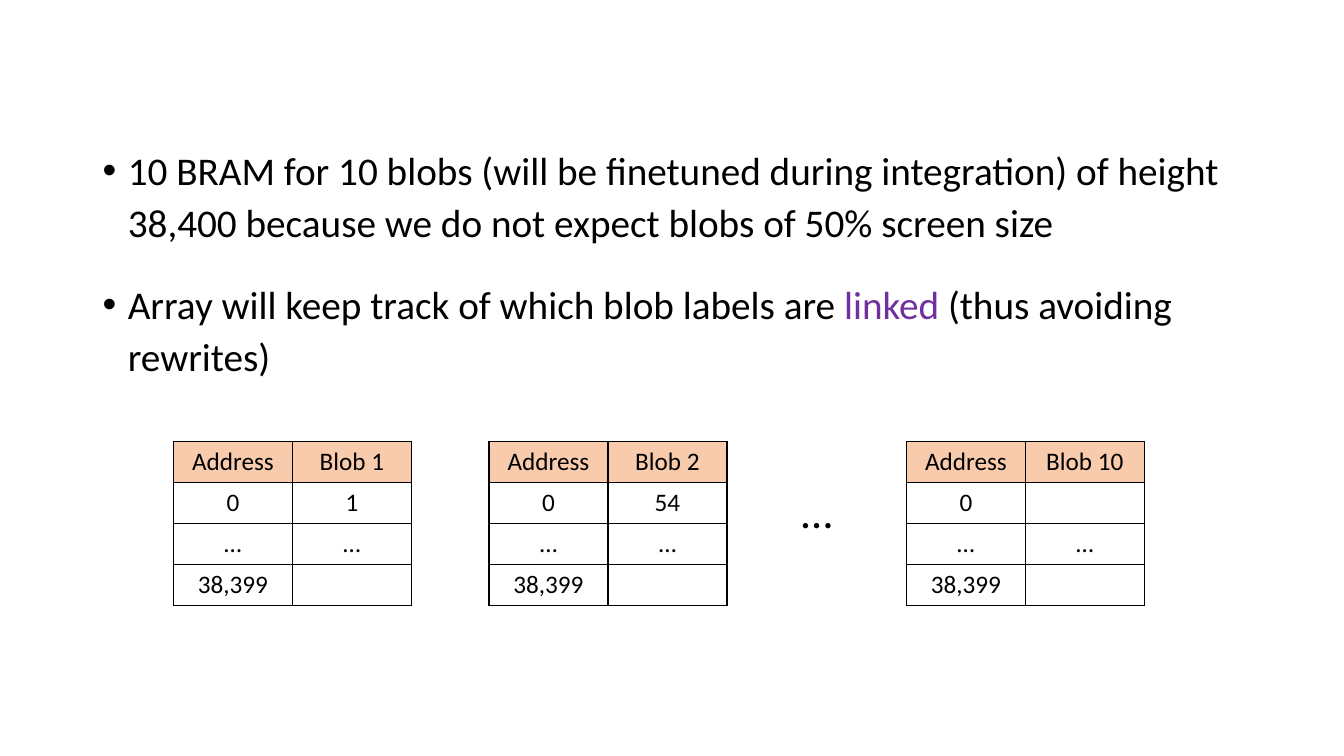
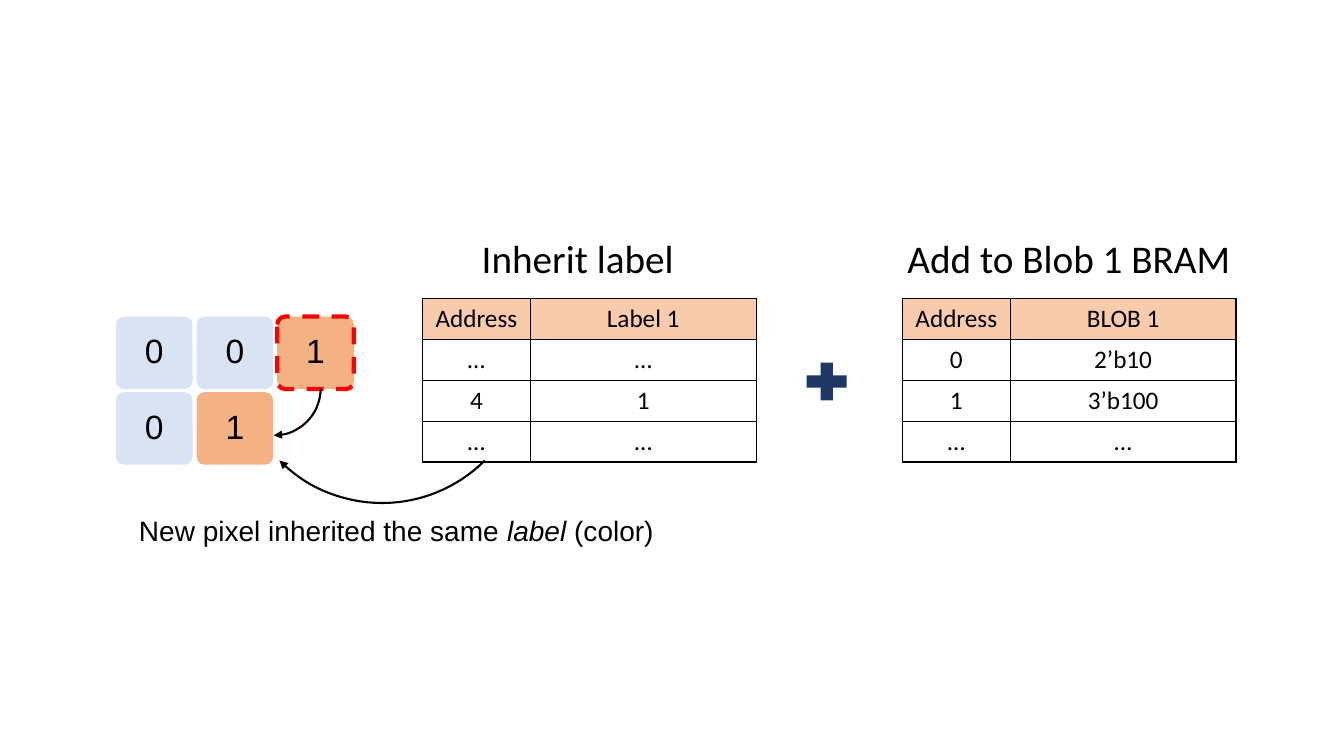
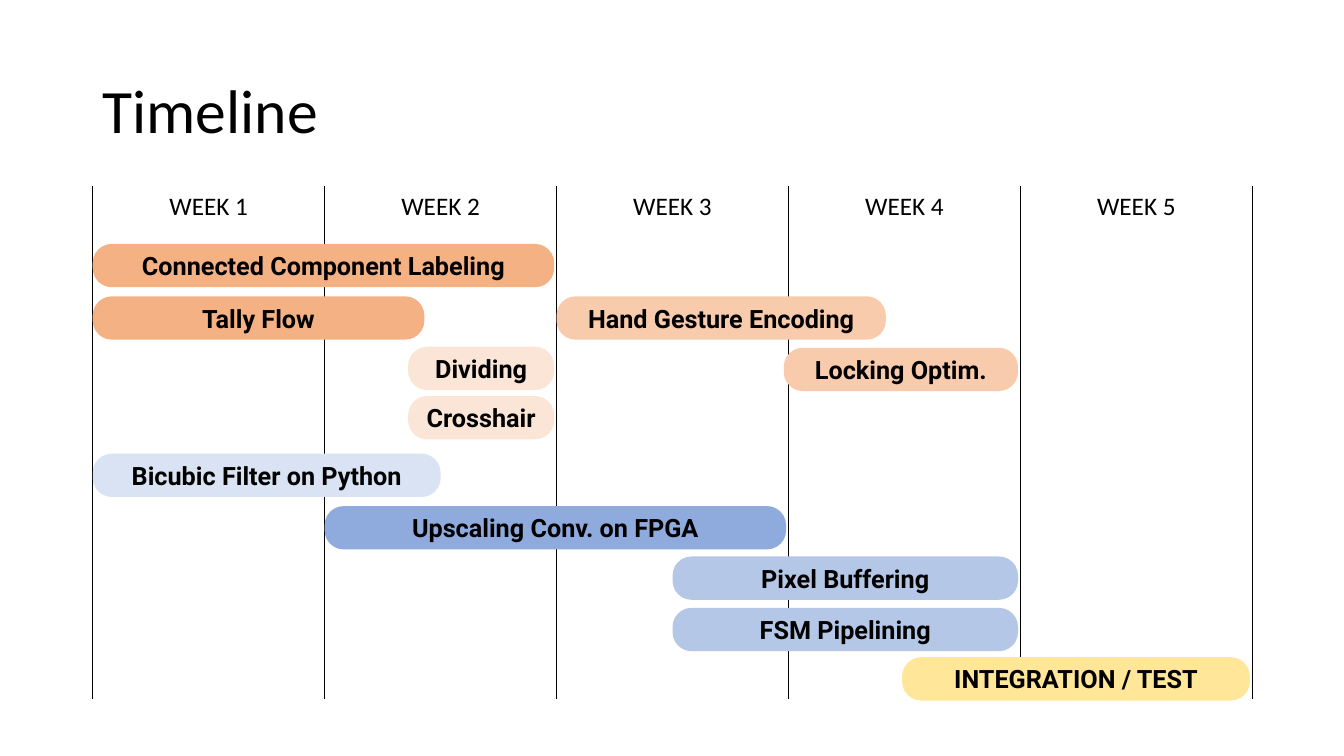
"""Build three slides on blob storage, label inheritance and the project timeline."""
from typing import Any, NamedTuple, Optional

from lxml.etree import SubElement
from pptx import Presentation
from pptx.dml.color import RGBColor
from pptx.enum.dml import MSO_LINE
from pptx.enum.shapes import MSO_SHAPE
from pptx.enum.text import MSO_ANCHOR, PP_ALIGN
from pptx.oxml.ns import qn
from pptx.util import Inches, Pt

SLIDE_SIZE = (13.33, 7.5)
CELL = 0.1
BLACK = RGBColor(0x00, 0x00, 0x00)
RED = RGBColor(0xFF, 0x00, 0x00)
PURPLE = RGBColor(0x70, 0x30, 0xA0)
NAVY = RGBColor(0x1F, 0x37, 0x64)
ORANGE = RGBColor(0xF4, 0xB1, 0x83)
PEACH = RGBColor(0xF8, 0xCB, 0xAD)
CREAM = RGBColor(0xFB, 0xE5, 0xD6)
BLUE = RGBColor(0x8F, 0xAA, 0xDC)
LIGHT_BLUE = RGBColor(0xB4, 0xC7, 0xE7)
PALE_BLUE = RGBColor(0xDA, 0xE3, 0xF3)
YELLOW = RGBColor(0xFF, 0xE6, 0x99)

TITLE_FONT = {"name": "Calibri", "size": Pt(44)}
BODY_FONT = {"name": "Calibri", "size": Pt(28)}
ELLIPSIS_FONT = {"name": "Calibri", "size": Pt(32)}
TABLE_FONT = {"name": "Calibri", "size": Pt(18)}
PIXEL_FONT = {"name": "Arial", "size": Pt(24)}
CAPTION_FONT = {"name": "Arial", "size": Pt(20)}
TASK_FONT = {"name": "Roboto", "size": Pt(18), "bold": True}

SPACED = {"line_spacing": 0.9, "space_before": Pt(10)}
CENTERED = {"alignment": PP_ALIGN.CENTER}
SPACED_CENTERED = {**SPACED, **CENTERED}
FIRST_BULLET = {"line_spacing": 1.1, "space_before": Pt(10)}
NEXT_BULLET = {"line_spacing": 1.1, "space_before": Pt(21.5)}

TABLE_ROW = 4.06
WEEK_COLUMNS = 23
TASK_PITCH = 5.1
TIMELINE_LEFT, TIMELINE_TOP, FIRST_TASK_TOP = 9.2, 18.5, 24.2


class Area(NamedTuple):
    """Place on the slide, counted in grid cells."""
    column: float
    row: float
    columns: float
    rows: float

    def lengths(self) -> list[Inches]:
        """Return left, top, width and height."""
        return [Inches(cells * CELL) for cells in self]


class Span(NamedTuple):
    """Stretch of text with one look."""
    text: str
    color: RGBColor = BLACK
    italic: bool = False


class Table(NamedTuple):
    """Address table with its column widths in grid cells."""
    column: float
    row: float
    widths: tuple[float, ...]
    content: list[tuple[str, ...]]


class Pixel(NamedTuple):
    """Pixel in the neighbourhood grid."""
    column: int
    row: int
    value: str
    fill: RGBColor
    current: bool = False


class Task(NamedTuple):
    """Timeline bar, with start and length in weeks."""
    label: str
    start: float
    weeks: float
    lane: float
    fill: RGBColor


class Arrow(NamedTuple):
    """Quarter-circle arrow."""
    area: Area
    rotation: int


BLOB_WIDTHS = (11.8, 11.8)
BLOB_TABLES = [
    Table(column, 43.8, BLOB_WIDTHS,
          [("Address", blob), ("0", first), ("…", "…"), ("38,399", "")])
    for column, blob, first in [(17.2, "Blob 1", "1"), (48.5, "Blob 2", "54"), (89.9, "Blob 10", "")]
]
LABEL_WIDTHS = (10.7, 22.4)
LABEL_TABLES = [
    Table(41.9, 29.6, LABEL_WIDTHS,
          [("Address", "Label 1"), ("…", "…"), ("4", "1"), ("…", "…")]),
    Table(89.5, 29.6, LABEL_WIDTHS,
          [("Address", "BLOB 1"), ("0", "2’b10"), ("1", "3’b100"), ("…", "…")]),
]
PIXELS = [
    Pixel(0, 0, "0", PALE_BLUE),
    Pixel(0, 1, "0", PALE_BLUE),
    Pixel(1, 0, "0", PALE_BLUE),
    Pixel(1, 1, "1", ORANGE),
    Pixel(2, 0, "1", ORANGE, current=True),
]
ARROWS = [
    Arrow(Area(23.5, 21.1, 28.8, 28.8), 135),
    Arrow(Area(22.5, 33.9, 9.3, 9.3), 90),
]
TASKS = [
    Task("Connected Component Labeling", 0, 1.99, 0, ORANGE),
    Task("Bicubic Filter on Python", 0, 1.5, 4.08, PALE_BLUE),
    Task("Upscaling Conv. on FPGA", 1, 1.99, 5.1, BLUE),
    Task("Pixel Buffering", 2.5, 1.49, 6.08, LIGHT_BLUE),
    Task("FSM Pipelining", 2.5, 1.49, 7.08, LIGHT_BLUE),
    Task("INTEGRATION / TEST", 3.49, 1.5, 8.04, YELLOW),
    Task("Locking Optim.", 2.98, 1.01, 2.02, PEACH),
    Task("Tally Flow", 0, 1.43, 1.02, ORANGE),
    Task("Dividing", 1.36, 0.63, 2, CREAM),
    Task("Crosshair", 1.36, 0.63, 2.96, CREAM),
    Task("Hand Gesture Encoding", 2, 1.42, 1.02, PEACH),
]


def apply(target: Any, values: dict[str, Any]) -> None:
    """Set each named attribute on the target."""
    for name, value in values.items():
        setattr(target, name, value)


def write(paragraph: Any, spans: list[Span], font: dict[str, Any], layout: dict[str, Any]) -> None:
    """Fill a paragraph with formatted spans."""
    apply(paragraph, layout)
    for span in spans:
        run = paragraph.add_run()
        run.text = span.text
        apply(run.font, {**font, "italic": span.italic})
        run.font.color.rgb = span.color


def add_text(slide: Any, area: Area, spans: list[Span], font: dict[str, Any],
             layout: dict[str, Any], anchor: MSO_ANCHOR = MSO_ANCHOR.TOP) -> Any:
    """Add a wrapping text box and return its frame."""
    frame = slide.shapes.add_textbox(*area.lengths()).text_frame
    apply(frame, {"word_wrap": True, "vertical_anchor": anchor})
    write(frame.paragraphs[0], spans, font, layout)
    return frame


def add_bullet(paragraph: Any) -> None:
    """Give a paragraph a hanging round bullet."""
    properties = paragraph._p.get_or_add_pPr()
    properties.set("marL", str(Inches(0.25)))
    properties.set("indent", str(-Inches(0.25)))
    SubElement(properties, qn("a:buFont"), typeface="Arial")
    SubElement(properties, qn("a:buChar"), char="•")


def add_figure(slide: Any, kind: MSO_SHAPE, area: Area, fill: Optional[RGBColor]) -> Any:
    """Add a flat shape without outline."""
    figure = slide.shapes.add_shape(kind, *area.lengths())
    figure.shadow.inherit = False
    figure.line.fill.background()
    if fill is None:
        figure.fill.background()
    else:
        figure.fill.solid()
        figure.fill.fore_color.rgb = fill
    return figure


def add_label(slide: Any, area: Area, rounding: float, fill: RGBColor, text: str,
              font: dict[str, Any], layout: dict[str, Any]) -> Any:
    """Add a rounded rectangle with centred text."""
    label = add_figure(slide, MSO_SHAPE.ROUNDED_RECTANGLE, area, fill)
    label.adjustments[0] = rounding
    apply(label.text_frame, {"word_wrap": True, "vertical_anchor": MSO_ANCHOR.MIDDLE})
    write(label.text_frame.paragraphs[0], [Span(text)], font, layout)
    return label


def set_borders(cell: Any, sides: str, points: float) -> None:
    """Draw black borders on the given sides and clear the others."""
    properties = cell._tc.get_or_add_tcPr()
    for side in "LRTB":
        border = SubElement(properties, qn(f"a:ln{side}"), w=str(Pt(points)))
        if side in sides:
            solid = SubElement(border, qn("a:solidFill"))
            SubElement(solid, qn("a:srgbClr"), val=str(BLACK))
        else:
            SubElement(border, qn("a:noFill"))


def add_grid(slide: Any, table: Table, heights: list[float], sides: str, points: float,
             header: Optional[RGBColor]) -> None:
    """Add a table with plain cells and an optional header fill."""
    area = Area(table.column, table.row, sum(table.widths), sum(heights))
    grid = slide.shapes.add_table(len(heights), len(table.widths), *area.lengths()).table
    apply(grid, {"first_row": False, "horz_banding": False})
    for column, width in zip(grid.columns, table.widths):
        column.width = Inches(width * CELL)
    for index, (height, texts) in enumerate(zip(heights, table.content)):
        grid.rows[index].height = Inches(height * CELL)
        for position, text in enumerate(texts):
            cell = grid.cell(index, position)
            set_borders(cell, sides, points)
            if header is not None and index == 0:
                cell.fill.solid()
                cell.fill.fore_color.rgb = header
            else:
                cell.fill.background()
            if text:
                write(cell.text_frame.paragraphs[0], [Span(text)], TABLE_FONT, CENTERED)


def add_address_tables(slide: Any, tables: list[Table]) -> None:
    """Add bordered tables with a peach header."""
    for table in tables:
        add_grid(slide, table, [TABLE_ROW] * len(table.content), "LRTB", 1, PEACH)


def add_arrow(slide: Any, arrow: Arrow) -> None:
    """Add an arc that ends in a triangle."""
    arc = add_figure(slide, MSO_SHAPE.ARC, arrow.area, None)
    arc.rotation = arrow.rotation
    arc.line.color.rgb = BLACK
    arc.line.width = Pt(1.5)
    SubElement(arc.line._get_or_add_ln(), qn("a:tailEnd"), type="triangle")


def build_storage(slide: Any) -> None:
    """Show the memory given to each blob."""
    frame = add_text(slide, Area(9.2, 13.6, 115, 47.6), [
        Span("10 BRAM for 10 blobs (will be finetuned during integration) of height "
             "38,400 because we do not expect blobs of 50% screen size"),
    ], BODY_FONT, FIRST_BULLET)
    write(frame.add_paragraph(), [
        Span("Array will keep track of which blob labels are "),
        Span("linked", PURPLE),
        Span(" (thus avoiding rewrites)"),
    ], BODY_FONT, NEXT_BULLET)
    for paragraph in frame.paragraphs:
        add_bullet(paragraph)
    add_address_tables(slide, BLOB_TABLES)
    add_text(slide, Area(78.5, 47.5, 5.1, 6.4), [Span("…")], ELLIPSIS_FONT, {})


def build_inheritance(slide: Any) -> None:
    """Show how a new pixel takes over a label."""
    add_text(slide, Area(46.8, 23.3, 23.3, 8.9), [Span("Inherit label")], BODY_FONT, SPACED)
    add_address_tables(slide, LABEL_TABLES)
    add_figure(slide, MSO_SHAPE.MATH_PLUS, Area(79.3, 35.3, 5.4, 5.1), NAVY)
    for pixel in PIXELS:
        area = Area(11.5 + 8 * pixel.column, 31.4 + 7.5 * pixel.row, 7.6, 7.2)
        square = add_label(slide, area, 0.11, pixel.fill, pixel.value, PIXEL_FONT, SPACED_CENTERED)
        if pixel.current:
            square.line.color.rgb = RED
            apply(square.line, {"width": Pt(3), "dash_style": MSO_LINE.DASH})
    add_text(slide, Area(87.9, 23.3, 36.2, 8.9), [Span("Add to Blob 1 BRAM")],
             BODY_FONT, SPACED_CENTERED)
    for arrow in ARROWS:
        add_arrow(slide, arrow)
    add_text(slide, Area(12.8, 50.8, 54.4, 8.9), [
        Span("New pixel inherited the same "),
        Span("label", italic=True),
        Span(" (color)"),
    ], CAPTION_FONT, SPACED)


def build_timeline(slide: Any) -> None:
    """Show the tasks over five weeks."""
    add_text(slide, Area(9.2, 4, 115, 14.5), [Span("Timeline")], TITLE_FONT,
             {"line_spacing": 0.9}, MSO_ANCHOR.MIDDLE)
    weeks = tuple(f"WEEK {number}" for number in range(1, 6))
    blank = ("",) * len(weeks)
    calendar = Table(TIMELINE_LEFT, TIMELINE_TOP, (WEEK_COLUMNS,) * len(weeks),
                     [weeks] + [blank] * 5)
    add_grid(slide, calendar, [4.9] + [9.2] * 5, "LR", 0.5, None)
    for task in TASKS:
        area = Area(TIMELINE_LEFT + WEEK_COLUMNS * task.start,
                    FIRST_TASK_TOP + TASK_PITCH * task.lane,
                    WEEK_COLUMNS * task.weeks, 4.3)
        add_label(slide, area, 0.44, task.fill, task.label, TASK_FONT, CENTERED)


def main() -> None:
    """Build and save the presentation."""
    presentation = Presentation()
    presentation.slide_width, presentation.slide_height = map(Inches, SLIDE_SIZE)
    blank_layout = presentation.slide_layouts[6]
    for build in (build_storage, build_inheritance, build_timeline):
        build(presentation.slides.add_slide(blank_layout))
    presentation.save("out.pptx")


if __name__ == "__main__":
    main()
